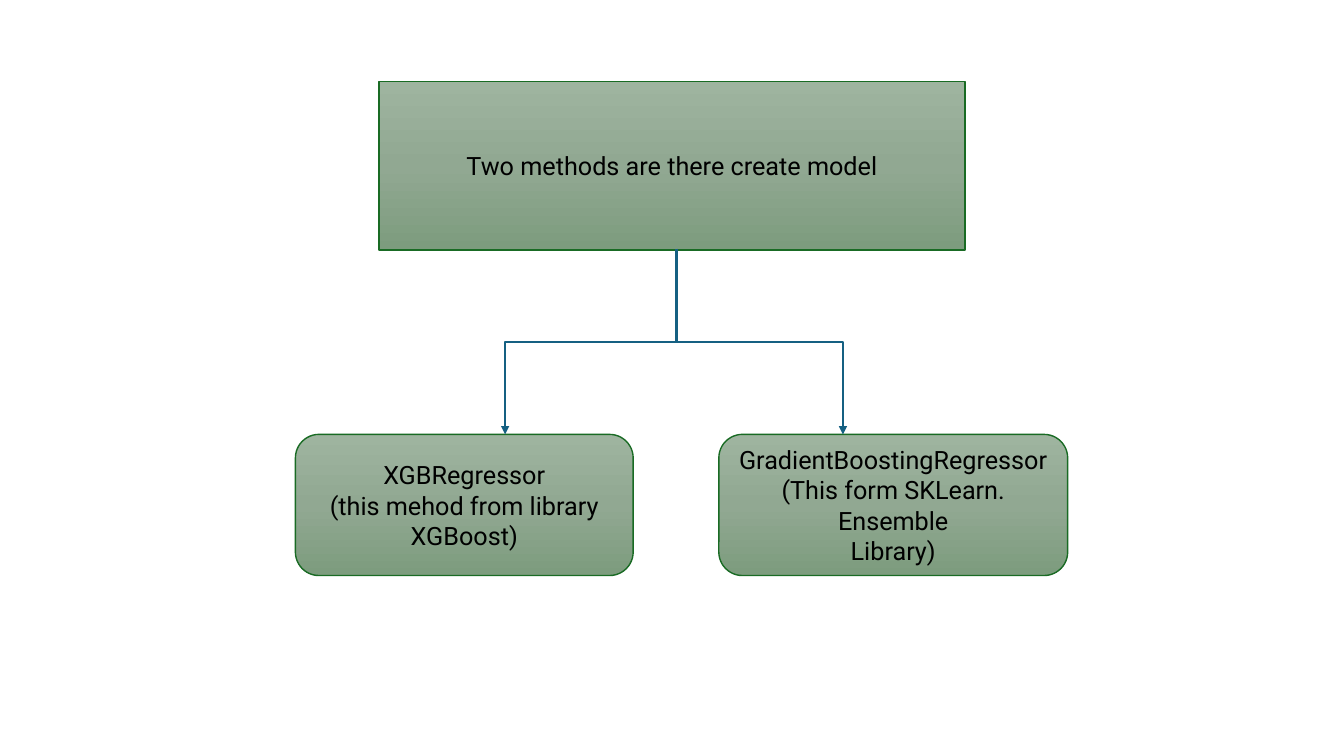
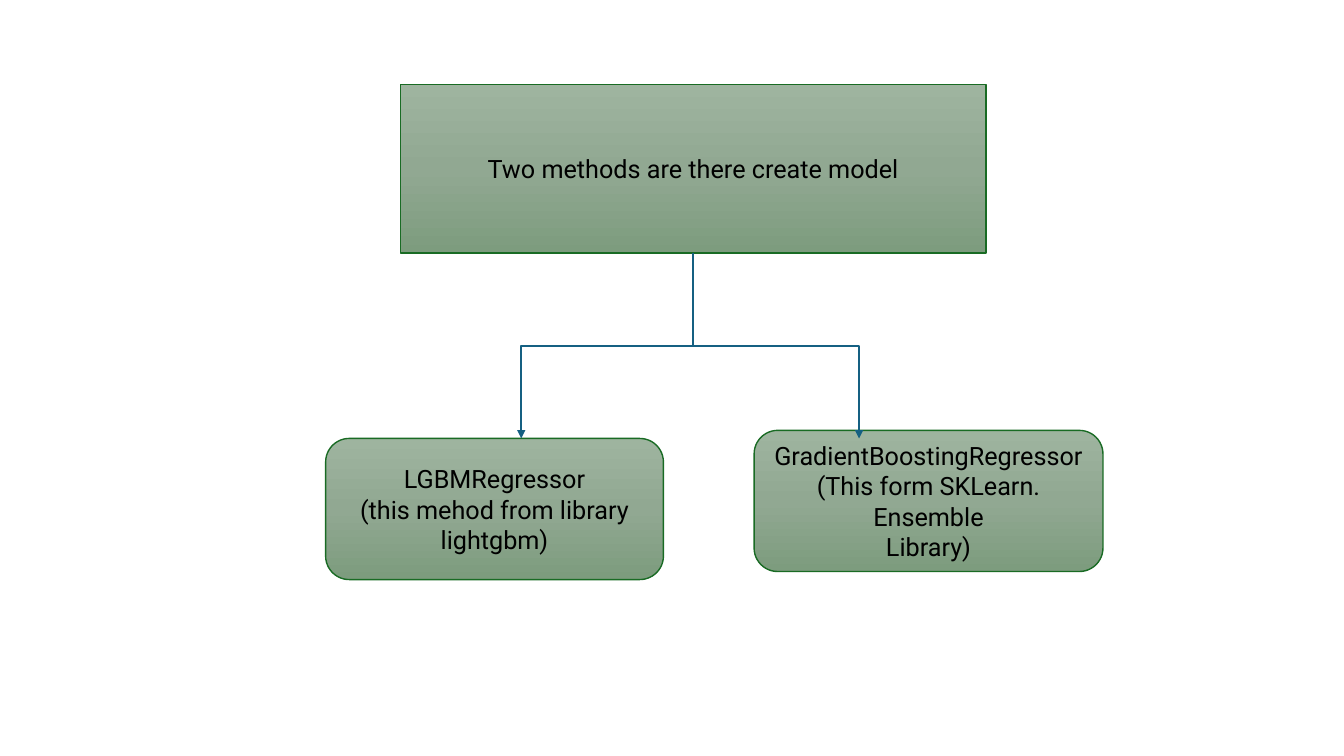
from copy import deepcopy

from lxml import etree
from pptx import Presentation
from pptx.dml.color import RGBColor
from pptx.enum import shapes, text
from pptx.oxml.ns import qn
from pptx.util import Inches, Pt

FONT = "Roboto"
BLACK = RGBColor(0x00, 0x00, 0x00)
GREEN_LINE = RGBColor(0x19, 0x6B, 0x24)
ARROW_BLUE = RGBColor(0x15, 0x60, 0x82)
GREEN_STOPS = (
    (0, RGBColor(0x9E, 0xB4, 0x9F)),
    (0.5, RGBColor(0x91, 0xA8, 0x92)),
    (1, RGBColor(0x7D, 0x9C, 0x7E)),
)
RECTANGLE = shapes.MSO_SHAPE.RECTANGLE
ROUNDED = shapes.MSO_SHAPE.ROUNDED_RECTANGLE

QUESTION = ["Two methods are there create model"]
GRADIENT_BOOSTING = ["GradientBoostingRegressor", "(This form SKLearn. Ensemble", "Library)"]
QUESTION_SIZE = (5.81, 1.67)
LIBRARY_SIZE = (3.35, 1.4)
BOOSTING_SIZE = (3.46, 1.4)
ARROW_DROP = 1.84
ARROW_SHIFTS = (-1.7, 1.65)

TREES = (
    {
        "question": (3.76, 0.81),
        "boosting": (7.13, 4.31),
        "library": (2.93, 4.31),
        "fork": (6.71, 2.47),
        "method": ["XGBRegressor", "(this mehod from library XGBoost)"],
    },
    {
        "question": (3.97, 0.84),
        "boosting": (7.48, 4.27),
        "library": (3.23, 4.35),
        "fork": (6.87, 2.51),
        "method": ["LGBMRegressor", "(this mehod from library lightgbm)"],
    },
)


def fill_green(shape):
    """Fill a shape with the shared three-stop vertical gradient."""
    shape.fill.gradient()
    stop_list = shape._element.spPr.find(qn("a:gradFill")).find(qn("a:gsLst"))
    stop_list.append(deepcopy(stop_list[0]))
    for stop, (position, color) in zip(shape.fill.gradient_stops, GREEN_STOPS):
        stop.position = position
        stop.color.rgb = color
    shape.fill.gradient_angle = 270


def add_box(slide, kind, place, size, lines):
    """Add a green box with centred lines of text."""
    box = slide.shapes.add_shape(kind, *map(Inches, place + size))
    box.shadow.inherit = False
    fill_green(box)
    box.line.color.rgb = GREEN_LINE
    box.line.width = Pt(1)
    frame = box.text_frame
    frame.word_wrap = True
    frame.vertical_anchor = text.MSO_ANCHOR.MIDDLE
    frame.text = "\n".join(lines)
    for para in frame.paragraphs:
        para.alignment = text.PP_ALIGN.CENTER
        for span in para.runs:
            span.font.name = FONT
            span.font.size = Pt(18)
            span.font.color.rgb = BLACK


def add_elbow_arrow(slide, start, shift):
    """Add an arrow that goes down, sideways by shift, and down again."""
    center_x = start[0] + shift / 2
    center_y = start[1] + ARROW_DROP / 2
    half_length = ARROW_DROP / 2 if shift < 0 else -ARROW_DROP / 2
    half_width = abs(shift) / 2
    arrow = slide.shapes.add_connector(
        shapes.MSO_CONNECTOR.ELBOW,
        Inches(center_x - half_length),
        Inches(center_y - half_width),
        Inches(center_x + half_length),
        Inches(center_y + half_width),
    )
    arrow.line.color.rgb = ARROW_BLUE
    arrow.line.width = Pt(1.5)
    properties = arrow._element.spPr
    degrees = 90 if shift < 0 else 270
    properties.find(qn("a:xfrm")).set("rot", str(degrees * 60000))
    etree.SubElement(properties.find(qn("a:ln")), qn("a:tailEnd"), type="triangle")
    etree.SubElement(properties, qn("a:effectLst"))


def add_tree_slide(deck, tree):
    """Add a slide whose question branches into two methods."""
    slide = deck.slides.add_slide(deck.slide_layouts[6])
    add_box(slide, RECTANGLE, tree["question"], QUESTION_SIZE, QUESTION)
    add_box(slide, ROUNDED, tree["boosting"], BOOSTING_SIZE, GRADIENT_BOOSTING)
    add_box(slide, ROUNDED, tree["library"], LIBRARY_SIZE, tree["method"])
    for shift in ARROW_SHIFTS:
        add_elbow_arrow(slide, tree["fork"], shift)


def main():
    """Build and save the deck."""
    deck = Presentation()
    deck.slide_width = Inches(13.33)
    deck.slide_height = Inches(7.5)
    for tree in TREES:
        add_tree_slide(deck, tree)
    deck.save("out.pptx")


if __name__ == "__main__":
    main()
